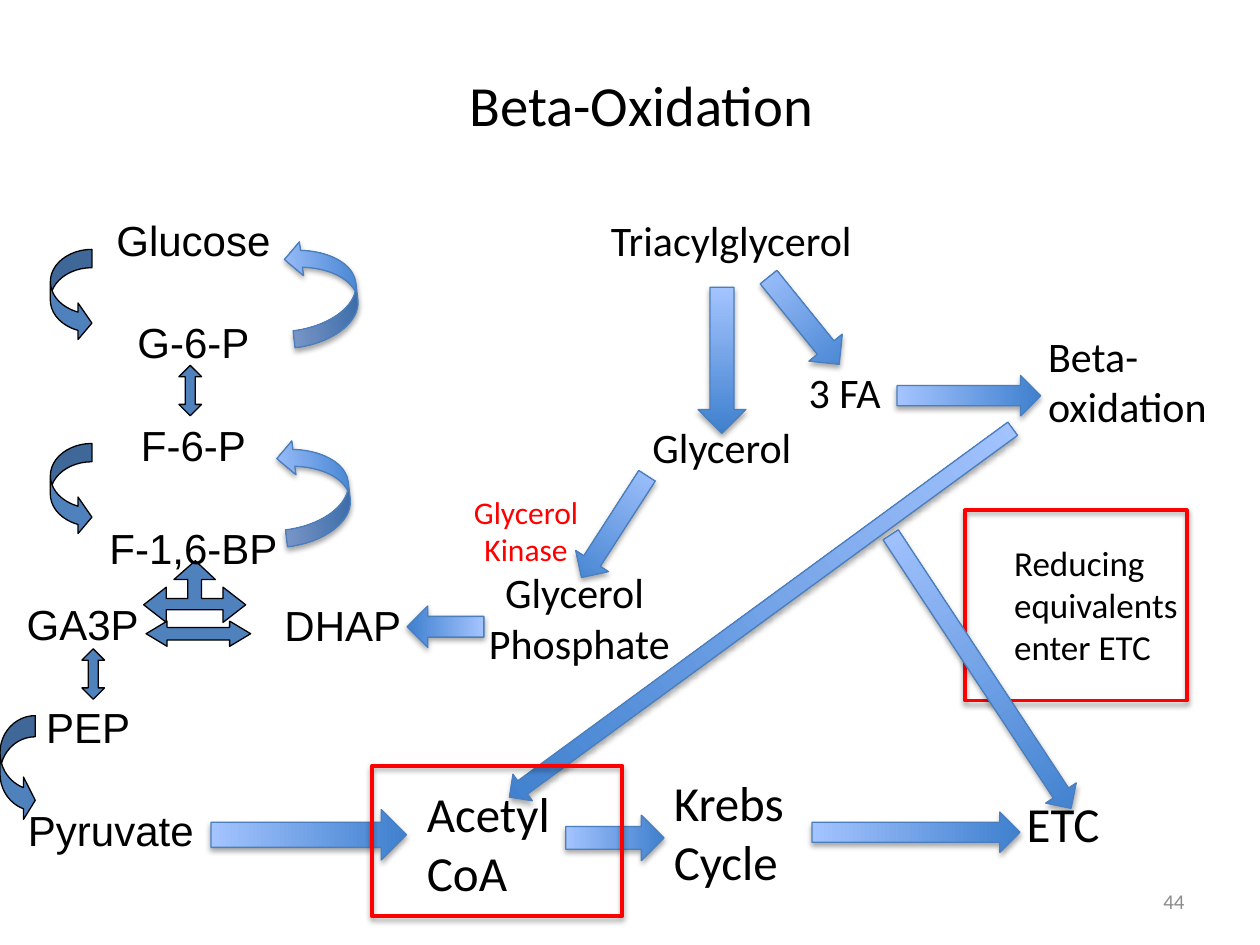
import pptx
import pptx.util
import pptx.dml.color
import pptx.enum.shapes
import pptx.enum.text
import lxml.etree

RGB = pptx.dml.color.RGBColor
KIND = pptx.enum.shapes.MSO_SHAPE
ALIGN = pptx.enum.text.PP_ALIGN
MID = pptx.enum.text.MSO_ANCHOR.MIDDLE
Pt = pptx.util.Pt

PX = 9144  # 100 px to the inch
BLACK = RGB(0, 0, 0)
RED = RGB(255, 0, 0)
GRAY = RGB(0x8C, 0x8C, 0x8C)
BLUE = RGB(0x4F, 0x81, 0xBD)
DARK = RGB(0x3F, 0x80, 0xCE)
LIGHT = RGB(0xA4, 0xC4, 0xFF)
EDGE = RGB(0x4B, 0x7E, 0xBC)

SHADOW = (
    '<a:effectLst xmlns:a="http://schemas.openxmlformats.org/drawingml/2006/main">'
    '<a:outerShdw blurRad="40000" dist="23000" dir="5400000" rotWithShape="0">'
    '<a:srgbClr val="000000"><a:alpha val="35000"/></a:srgbClr>'
    '</a:outerShdw></a:effectLst>')


def style(shape, fill, edge, width, turn=0):
    """Fill may be a colour, "fade" for the blue gradient, or None."""
    shape.rotation = turn
    shape.line.color.rgb = edge
    shape.line.width = Pt(width)
    shape.shadow.inherit = False
    if fill is None:
        shape.fill.background()
    elif fill == "fade":
        shape.fill.gradient()
        shape.fill.gradient_angle = 90
        for stop, tone in zip(shape.fill.gradient_stops, (DARK, LIGHT)):
            stop.color.rgb = tone
    else:
        shape.fill.solid()
        shape.fill.fore_color.rgb = fill
    if fill != BLUE:
        props = shape._element.spPr
        props.remove(props.find(pptx.oxml.ns.qn("a:effectLst")))
        props.append(lxml.etree.fromstring(SHADOW))


def write(frame, text, size, font="Calibri", tone=BLACK, align=ALIGN.LEFT, gap=0):
    frame.word_wrap = True
    frame.text = text
    for i, para in enumerate(frame.paragraphs):
        para.alignment = align
        if i and gap:
            para.space_before = Pt(gap)
        for run in para.runs:
            run.font.size = Pt(size)
            run.font.name = font
            run.font.color.rgb = tone


deck = pptx.Presentation()
deck.slide_width, deck.slide_height = 1000 * PX, 750 * PX
slide = deck.slides.add_slide(deck.slide_layouts[5])
shapes = slide.shapes

title = shapes.title
title.left, title.top, title.width, title.height = [n * PX for n in (50, 50, 918, 65)]
write(title.text_frame, "Beta-Oxidation", 32.4, align=ALIGN.CENTER)
title.text_frame.vertical_anchor = MID

# Glycolysis steps: solid arrows
solid = [
    (KIND.CURVED_RIGHT_ARROW, 40, 198, 33, 73, (0.44, 0.879, 0.333)),
    (KIND.CURVED_RIGHT_ARROW, 40, 352, 33, 73, (0.44, 0.879, 0.333)),
    (KIND.CURVED_RIGHT_ARROW, 0, 568, 28, 84, (0.6, 1.2, 0.333)),
    (KIND.UP_DOWN_ARROW, 142, 290, 18, 40, (0.5, 0.442)),
    (KIND.UP_DOWN_ARROW, 65, 515, 18, 40, (0.5, 0.442)),
    (KIND.LEFT_RIGHT_ARROW, 116, 493, 83, 20, (0.5, 0.833)),
]
for kind, x, y, w, h, bends in solid:
    arrow = shapes.add_shape(kind, x * PX, y * PX, w * PX, h * PX)
    for i, bend in enumerate(bends):
        arrow.adjustments[i] = bend
    style(arrow, BLUE, BLACK, 0.75)

# Three-way split of F-1,6-BP
pen = shapes.build_freeform(155, 445, scale=PX)
pen.add_line_segments([
    (138, 460), (149, 460), (149, 475), (132, 475), (132, 466), (114, 480),
    (132, 494), (132, 484), (177, 484), (177, 494), (195, 480), (177, 466),
    (177, 475), (160, 475), (160, 460), (171, 460)], close=True)
style(pen.convert_to_shape(), BLUE, BLACK, 0.75)

# Shaded arrows
DOWN, CURVE = KIND.DOWN_ARROW, KIND.CURVED_UP_ARROW
shaded = [
    (DOWN, 591, 239, 26, 495, 53.8),
    (DOWN, 472, 370, 31, 96, 32.8),
    (DOWN, 337, 467, 33, 61, 90),
    (CURVE, 208, 362, 84, 54, 263.1),
    (CURVE, 214, 204, 84, 54, 263.1),
    (DOWN, 554, 228, 38, 116, 0),
    (DOWN, 621, 210, 34, 89, 321),
    (DOWN, 753, 257, 32, 114, 270),
    (DOWN, 225, 585, 40, 155, 270),
    (DOWN, 711, 578, 32, 165, 270),
    (DOWN, 470, 626, 36, 78, 270),
]
for kind, x, y, w, h, turn in shaded:
    arrow = shapes.add_shape(kind, x * PX, y * PX, w * PX, h * PX)
    style(arrow, "fade", EDGE, 0.75, turn)

# Labels
MIDDLE = {"align": ALIGN.CENTER}
LADDER = {"align": ALIGN.CENTER, "font": "Arial", "gap": 30}
labels = [
    ("Glucose\nG-6-P\nF-6-P\nF-1,6-BP", 46, 165, 215, 290, 24, LADDER),
    ("GA3P \nPEP\nPyruvate", -25, 470, 190, 212, 24, LADDER),
    ("DHAP", 216, 471, 130, 50, 24, {"font": "Arial"}),
    ("Glycerol", 508, 330, 227, 50, 24, {}),
    ("Glycerol\n Phosphate", 295, 445, 322, 91, 24, MIDDLE),
    ("Glycerol Kinase", 360, 386, 115, 71, 18, {"tone": RED, **MIDDLE}),
    ("Triacylglycerol", 475, 165, 227, 50, 24, {}),
    ("3 FA", 632, 286, 94, 50, 24, {}),
    ("Beta-oxidation", 822, 257, 178, 91, 24, {}),
    ("Krebs Cycle", 525, 608, 186, 104, 28, {}),
    ("ETC", 805, 625, 85, 57, 28, {}),
    ("Reducing equivalents\nenter ETC", 795, 425, 179, 111, 20, {}),
    ("Acetyl CoA", 329, 617, 186, 104, 28, {}),
    ("44", 717, 695, 233, 40, 12, {"tone": GRAY, "align": ALIGN.RIGHT}),
]
for text, x, y, w, h, size, look in labels:
    frame = shapes.add_textbox(x * PX, y * PX, w * PX, h * PX).text_frame
    write(frame, text, size, **look)
    if text == "44":
        frame.vertical_anchor = MID
    if "Pyruvate" in text:
        frame.paragraphs[-1]._p.get_or_add_pPr().set("marL", str(36 * PX))

# Red frames, with the arrow to ETC on top
for x, y, w, h in [(295, 608, 199, 119), (766, 405, 176, 151)]:
    box = shapes.add_shape(KIND.RECTANGLE, x * PX, y * PX, w * PX, h * PX)
    style(box, None, RED, 2.25)
arrow = shapes.add_shape(DOWN, 764 * PX, 403 * PX, 29 * PX, 260 * PX)
style(arrow, "fade", EDGE, 0.75, 326.6)

deck.save("out.pptx")
